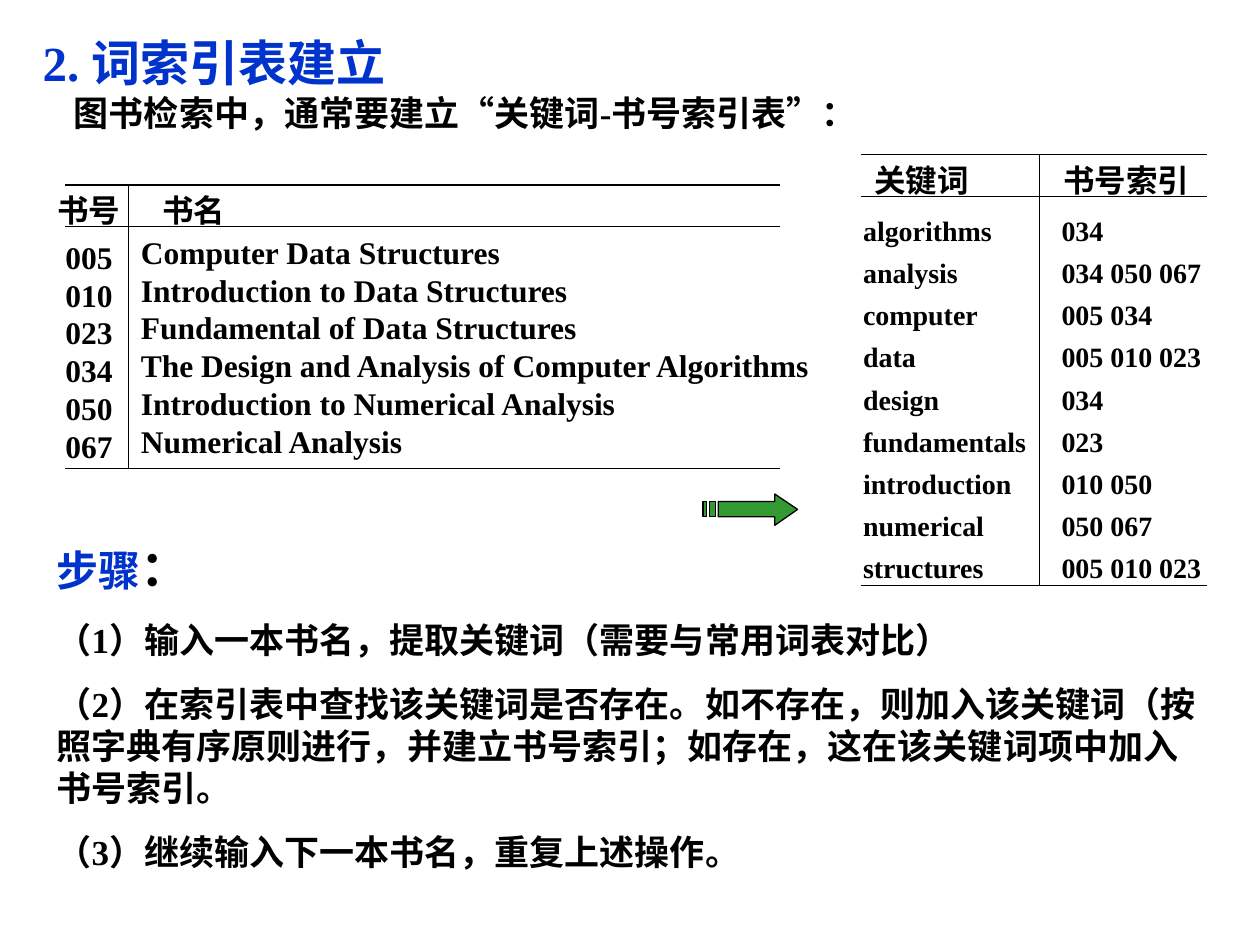
import pptx
import pptx.util
import pptx.dml.color
import pptx.enum.shapes
import pptx.enum.text
import lxml.etree

Cm = pptx.util.Cm
Pt = pptx.util.Pt

BLACK, BLUE, GREEN = "000000", "0033CC", "339933"
FONT = {"name": "Times New Roman", "bold": True}

TITLE = [
    [("2. 词索引表建立", 28, BLUE)],
    [("图书检索中，通常要建立“关键词-书号索引表”：", 20, BLACK)],
]
STEPS = [
    [("步骤", 24, BLUE), ("：", 28, BLACK)],
    [("（1）输入一本书名，提取关键词（需要与常用词表对比）", 20, BLACK)],
    [("（2）在索引表中查找该关键词是否存在。如不存在，则加入该关键词"
      "（按照字典有序原则进行，并建立书号索引；如存在，这在该关键词项中"
      "加入书号索引。", 20, BLACK)],
    [("（3）继续输入下一本书名，重复上述操作。", 20, BLACK)],
]
BOOKS = [
    ("005", "Computer Data Structures"),
    ("010", "Introduction to Data Structures"),
    ("023", "Fundamental of Data Structures"),
    ("034", "The Design and Analysis of Computer Algorithms"),
    ("050", "Introduction to Numerical Analysis"),
    ("067", "Numerical Analysis"),
]
INDEX = [
    ("algorithms", "034"),
    ("analysis", "034 050 067"),
    ("computer", "005 034"),
    ("data", "005 010 023"),
    ("design", "034"),
    ("fundamentals", "023"),
    ("introduction", "010 050"),
    ("numerical", "050 067"),
    ("structures", "005 010 023"),
]
HEADS = [
    ("书号", 0.91, 3.73, 1.78),
    ("书名", 3.02, 3.73, 1.78),
    ("关键词", 17.37, 3.12, 2.41),
    ("书号索引", 21.18, 3.12, 3.05),
]
GRIDS = [
    {"left": 1.32, "right": 15.72, "mid": 2.59, "rows": (3.73, 4.57, 9.45)},
    {"left": 17.35, "right": 24.33, "mid": 20.96, "rows": (3.12, 3.96, 11.81)},
]
ARROW = [
    [(15.62, 9.96), (15.62, 10.11), (14.48, 10.11), (14.48, 10.42),
     (15.62, 10.42), (15.62, 10.59), (16.08, 10.27)],
    [(14.3, 10.11), (14.3, 10.42), (14.43, 10.42), (14.43, 10.11)],
    [(14.17, 10.11), (14.17, 10.42), (14.25, 10.42), (14.25, 10.11)],
]
TOP, STEP, TAB = 4.18, 0.85, 4.0

deck = pptx.Presentation()
deck.slide_width, deck.slide_height = Cm(25.4), Cm(19.05)
slide = deck.slides.add_slide(deck.slide_layouts[6])
shapes = slide.shapes


def color(code):
    return pptx.dml.color.RGBColor.from_string(code)


def plain(text, size=18):
    return [(text, size, BLACK)]


def write(paras, x, y, wide, high, wrap=False, gap=0):
    frame = shapes.add_textbox(Cm(x), Cm(y), Cm(wide), Cm(high)).text_frame
    frame.word_wrap = wrap
    frame.auto_size = pptx.enum.text.MSO_AUTO_SIZE.SHAPE_TO_FIT_TEXT
    for num, runs in enumerate(paras):
        para = frame.add_paragraph() if num else frame.paragraphs[0]
        para.space_before = Pt(gap)
        for text, size, code in runs:
            run = para.add_run()
            run.text = text
            for key, val in {**FONT, "size": Pt(size)}.items():
                setattr(run.font, key, val)
            run.font.color.rgb = color(code)
    return frame


def props(para):
    return para._p.get_or_add_pPr()


def stroke(line):
    line.color.rgb = color(BLACK)
    line.width = Pt(0.75)


def rule(x1, y1, x2, y2):
    kind = pptx.enum.shapes.MSO_CONNECTOR.STRAIGHT
    line = shapes.add_connector(kind, Cm(x1), Cm(y1), Cm(x2), Cm(y2))
    stroke(line.line)
    tag = pptx.oxml.ns.qn("a:effectLst")
    lxml.etree.SubElement(line._element.spPr, tag)


write(STEPS, 0.89, 10.72, 23.7, 7.01, True, 12.5)
title = write(TITLE, 0.61, 0.53, 17.27, 2.29, True)
props(title.paragraphs[1]).set("marL", str(Cm(0.63)))

for grid in GRIDS:
    rows = grid["rows"]
    for y in rows:
        rule(grid["left"], y, grid["right"], y)
    rule(grid["mid"], rows[0], grid["mid"], rows[-1])

for text, x, y, wide in HEADS:
    write([plain(text)], x, y, wide, 1.02)

codes, names = zip(*BOOKS)
write([plain(code) for code in codes], 1.07, 4.67, 1.7, 4.83, True)
write([plain(name) for name in names], 2.59, 4.57, 14.05, 4.83)

for num, (word, refs) in enumerate(INDEX):
    row = [plain(word + "\t" + refs, 16)]
    frame = write(row, 17.15, TOP + num * STEP, 8.2, 0.94, True)
    stops = lxml.etree.SubElement(
        props(frame.paragraphs[0]), pptx.oxml.ns.qn("a:tabLst"))
    lxml.etree.SubElement(
        stops, pptx.oxml.ns.qn("a:tab"), pos=str(Cm(TAB)), algn="l")

first, *rest = ARROW
pen = shapes.build_freeform(Cm(first[0][0]), Cm(first[0][1]), scale=1.0)
for part in ARROW:
    if part is not first:
        pen.move_to(Cm(part[0][0]), Cm(part[0][1]))
    pen.add_line_segments([(Cm(x), Cm(y)) for x, y in part[1:]], close=True)
arrow = pen.convert_to_shape()
arrow.shadow.inherit = False
arrow.fill.solid()
arrow.fill.fore_color.rgb = color(GREEN)
stroke(arrow.line)

deck.save("out.pptx")
